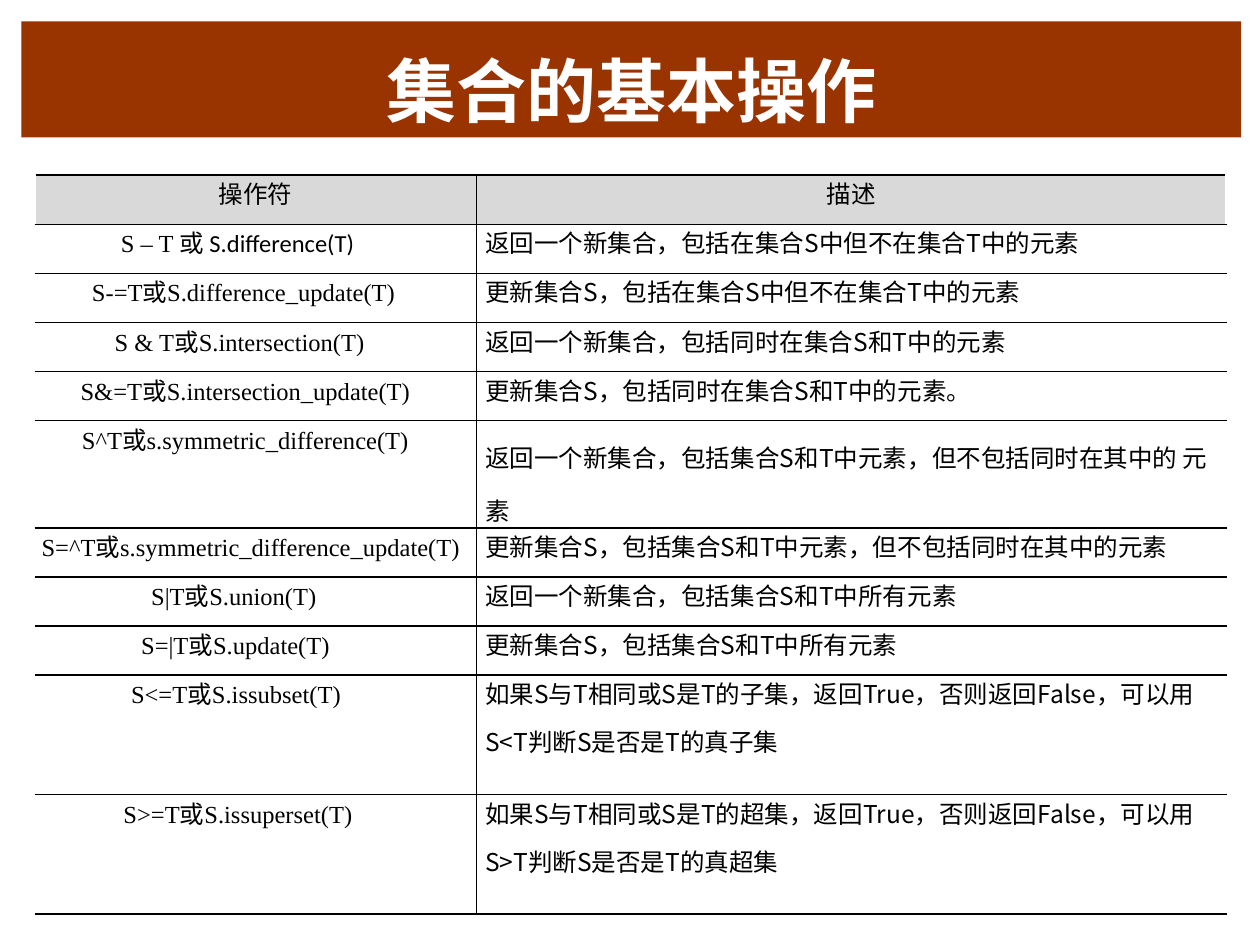
from lxml import etree
from pptx import Presentation
from pptx import util as u
from pptx.dml import color
from pptx.enum import text
from pptx.oxml import ns

OR = "或"
OPERATIONS = [
    (0.68, "S – T 或 S.difference(T)", ["返回一个新集合，包括在集合S中但不在集合T中的元素"]),
    (0.45, "S-=T或S.difference_update(T)", ["更新集合S，包括在集合S中但不在集合T中的元素"]),
    (0.63, "S & T或S.intersection(T)", ["返回一个新集合，包括同时在集合S和T中的元素"]),
    (0.36, "S&=T或S.intersection_update(T)", ["更新集合S，包括同时在集合S和T中的元素。"]),
    (0.37, "S^T或s.symmetric_difference(T)", ["返回一个新集合，包括集合S和T中元素，但不包括同时在其中的 元素"]),
    (0.05, "S=^T或s.symmetric_difference_update(T)", ["更新集合S，包括集合S和T中元素，但不包括同时在其中的元素"]),
    (0.92, "S|T或S.union(T)", ["返回一个新集合，包括集合S和T中所有元素"]),
    (0.84, "S=|T或S.update(T)", ["更新集合S，包括集合S和T中所有元素"]),
    (0.76, "S<=T或S.issubset(T)", ["如果S与T相同或S是T的子集，返回True，否则返回False，可以用",
                                  "S<T判断S是否是T的真子集"]),
    (0.7, "S>=T或S.issuperset(T)", ["如果S与T相同或S是T的超集，返回True，否则返回False，可以用",
                                   "S>T判断S是否是T的真超集"]),
]
TALL_ROWS = {5, 9, 10}
LOOSE_ROW = 5


class OperationsSlide:
    """Holds the style, a grid of 100 columns by 75 rows, and the current slide."""

    COLORS = {"banner": "993300", "title": "FFFFFF", "header": "D9D9D9", "ink": "000000"}
    CJK, CODE, METHOD, HEADING = "Noto Sans CJK SC", "Times New Roman", "Calibri", "DejaVu Sans"

    def __init__(self):
        self.deck = Presentation()
        self.deck.slide_width, self.deck.slide_height = u.Inches(10), u.Inches(7.5)
        self.slide = self.deck.slides.add_slide(self.deck.slide_layouts[5])

    def cols(self, count):
        return round(self.deck.slide_width * count / 100)

    def rows(self, count):
        return round(self.deck.slide_height * count / 75)

    def rgb(self, name):
        return color.RGBColor.from_string(self.COLORS[name])

    def title(self, wording, left, top, width, height):
        banner = self.slide.shapes.title
        banner.left, banner.top = self.cols(left), self.rows(top)
        banner.width, banner.height = self.cols(width), self.rows(height)
        banner.fill.solid()
        banner.fill.fore_color.rgb = self.rgb("banner")
        frame = banner.text_frame
        frame.text = wording
        frame.auto_size = text.MSO_AUTO_SIZE.NONE
        frame.vertical_anchor = text.MSO_ANCHOR.BOTTOM
        heading = frame.paragraphs[0]
        heading.alignment = text.PP_ALIGN.CENTER
        heading.font.name, heading.font.size, heading.font.bold = self.HEADING, u.Pt(40), True
        heading.font.color.rgb = self.rgb("title")

    def table(self, left, top, widths, heights):
        frame = self.slide.shapes.add_table(
            len(heights), len(widths), self.cols(left), self.rows(top),
            self.cols(sum(widths)), self.rows(sum(heights)))
        grid = frame.table
        grid.first_row = grid.horz_banding = False
        for column, width in zip(grid.columns, widths):
            column.width = self.cols(width)
        for row, height in zip(grid.rows, heights):
            row.height = self.rows(height)
        return grid

    def border(self, cell, sides):
        for side in sides:
            line = etree.SubElement(cell._tc.get_or_add_tcPr(), ns.qn(f"a:ln{side}"), w=str(u.Pt(1)))
            fill = etree.SubElement(line, ns.qn("a:solidFill"))
            etree.SubElement(fill, ns.qn("a:srgbClr"), val=self.COLORS["ink"])

    def cell(self, cell, sides, fill=None):
        cell.margin_left = cell.margin_right = cell.margin_top = cell.margin_bottom = 0
        self.border(cell, sides)
        if fill:
            cell.fill.solid()
            cell.fill.fore_color.rgb = self.rgb(fill)
        else:
            cell.fill.background()

    def run(self, paragraph, wording, font):
        run = paragraph.add_run()
        run.text = wording
        run.font.name = font
        etree.SubElement(run._r.get_or_add_rPr(), ns.qn("a:ea"), typeface=self.CJK)

    def paragraph(self, paragraph, parts, indent=0, centred=False):
        paragraph.font.size = u.Pt(14)
        paragraph.font.color.rgb = self.rgb("ink")
        paragraph.alignment = text.PP_ALIGN.CENTER if centred else text.PP_ALIGN.LEFT
        paragraph._p.get_or_add_pPr().set("marL", str(u.Inches(indent)))
        for wording, font in parts:
            self.run(paragraph, wording, font)

    def header(self, cells):
        for cell, wording, sides in zip(cells, ("操作符", "描述"), ("RTB", "LTB")):
            self.cell(cell, sides, "header")
            self.paragraph(cell.text_frame.paragraphs[0], [(wording, self.CJK)], centred=True)

    def operation(self, cells, indent, code, description, loose):
        operator, meaning = cells
        self.cell(operator, "RTB")
        symbol, method = code.split(OR)
        spaced = method.startswith(" ")
        parts = [(symbol, self.CODE), (OR + " " * spaced, self.CJK),
                 (method.strip(), self.METHOD if spaced else self.CODE)]
        self.paragraph(operator.text_frame.paragraphs[0], parts, indent)
        self.cell(meaning, "LTB")
        for index, wording in enumerate(description):
            frame = meaning.text_frame
            line = frame.add_paragraph() if index else frame.paragraphs[0]
            self.paragraph(line, [(wording, self.CJK)], 0.07)
            if index:
                line.space_before = u.Pt(7)
            if loose:
                line.line_spacing = 1.5


def main():
    page = OperationsSlide()
    page.title("集合的基本操作", 1.7, 1.7, 96.8, 9.2)
    heights = [7.8 if row in TALL_ROWS else 3.9 for row in range(len(OPERATIONS) + 1)]
    grid = page.table(2.8, 13.9, (35, 59.5), heights)
    page.header(grid.rows[0].cells)
    for row, (indent, code, description) in enumerate(OPERATIONS, 1):
        page.operation(grid.rows[row].cells, indent, code, description, row == LOOSE_ROW)
    page.deck.save("out.pptx")


if __name__ == "__main__":
    main()
